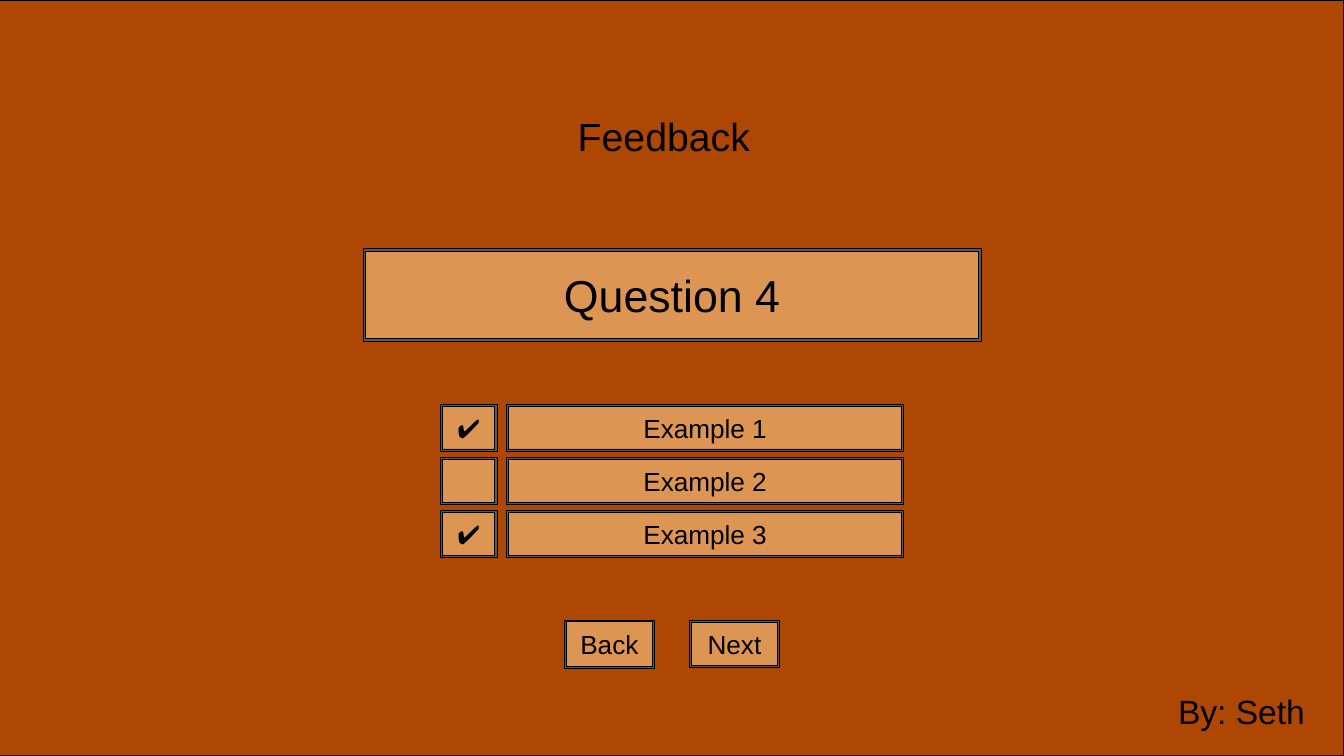
from pptx import Presentation
from pptx.dml.color import RGBColor
from pptx.enum.shapes import MSO_SHAPE
from pptx.enum.text import MSO_ANCHOR, MSO_AUTO_SIZE, PP_ALIGN
from pptx.util import Pt


def color(hex_string):
    return RGBColor.from_string(hex_string)


class QuizSlide:
    font_name = "Arial"
    ink = "000000"
    frame_fill = "595959"
    panel_fill = "DC9553"
    backdrop_fill = "AE4704"

    def __init__(self, slide):
        self.slide = slide
        self.shapes = slide.shapes

    def paint(self, shape, fill):
        shape.shadow.inherit = False
        shape.fill.solid()
        shape.fill.fore_color.rgb = color(fill)
        shape.line.color.rgb = color(self.ink)
        shape.line.width = Pt(1)

    def set_text(self, shape, text, size, alignment, anchor, inset):
        frame = shape.text_frame
        frame.text = text
        frame.word_wrap = True
        frame.auto_size = MSO_AUTO_SIZE.NONE
        frame.vertical_anchor = anchor
        frame.margin_left = frame.margin_right = Pt(inset)
        frame.margin_top = frame.margin_bottom = Pt(inset)
        paragraph = frame.paragraphs[0]
        paragraph.alignment = alignment
        paragraph.line_spacing = Pt(round(size * 1.2, 1))
        for run in paragraph.runs:
            run.font.name = self.font_name
            run.font.size = Pt(size)
            run.font.color.rgb = color(self.ink)

    def frame(self, left, top, width, height, border):
        def corners(offset):
            x1, y1 = Pt(left - offset), Pt(top - offset)
            x2, y2 = Pt(left + width + offset), Pt(top + height + offset)
            return [(x1, y1), (x2, y1), (x2, y2), (x1, y2)]

        outer = corners(border)
        inner = corners(-border)[::-1]
        builder = self.shapes.build_freeform(*outer[0], scale=1.0)
        builder.add_line_segments(outer[1:], close=True)
        builder.move_to(*inner[0])
        builder.add_line_segments(inner[1:], close=True)
        self.paint(builder.convert_to_shape(), self.frame_fill)

    def panel(self, left, top, width, height, text="", size=28, border=1.3, fill=panel_fill):
        shape = self.shapes.add_shape(
            MSO_SHAPE.RECTANGLE, Pt(left), Pt(top), Pt(width), Pt(height))
        self.paint(shape, fill)
        if text:
            self.set_text(shape, text, size, PP_ALIGN.CENTER, MSO_ANCHOR.MIDDLE, 3)
        self.frame(left, top, width, height, border)

    def backdrop(self, left, top, width, height):
        self.panel(left, top, width, height, border=0.8, fill=self.backdrop_fill)

    def title(self, left, top, width, height, text, size):
        shape = self.shapes.title
        shape.left, shape.top = Pt(left), Pt(top)
        shape.width, shape.height = Pt(width), Pt(height)
        self.set_text(shape, text, size, PP_ALIGN.LEFT, MSO_ANCHOR.TOP, 0)
        shape.element.getparent().append(shape.element)

    def label(self, left, top, width, height, text, size):
        shape = self.shapes.add_textbox(Pt(left), Pt(top), Pt(width), Pt(height))
        self.set_text(shape, text, size, PP_ALIGN.LEFT, MSO_ANCHOR.TOP, 0)


def main():
    presentation = Presentation()
    presentation.slide_width = Pt(1440)
    presentation.slide_height = Pt(810)
    quiz = QuizSlide(presentation.slides.add_slide(presentation.slide_layouts[5]))

    quiz.backdrop(-8, 0, 1448, 810)
    quiz.title(619, 120.2, 201, 70, "Feedback", 42)
    quiz.panel(390.2, 267.8, 659.6, 96.5, "Question 4", 47.9)

    answers = [("✔", "Example 1"), ("", "Example 2"), ("✔", "Example 3")]
    for row, (mark, answer) in enumerate(answers):
        top = 434.2 + row * 56.9
        quiz.panel(472.8, top, 58.8, 48.2, mark)
        quiz.panel(543.6, top, 423.6, 48.2, answer)

    quiz.panel(605.6, 665.3, 94.6, 49.7, "Back", border=0.9)
    quiz.panel(739.6, 666, 94.6, 48.2, "Next", border=0.9)
    quiz.label(1262.2, 740.2, 151.2, 51, "By: Seth", 36)

    presentation.save("out.pptx")


if __name__ == "__main__":
    main()
